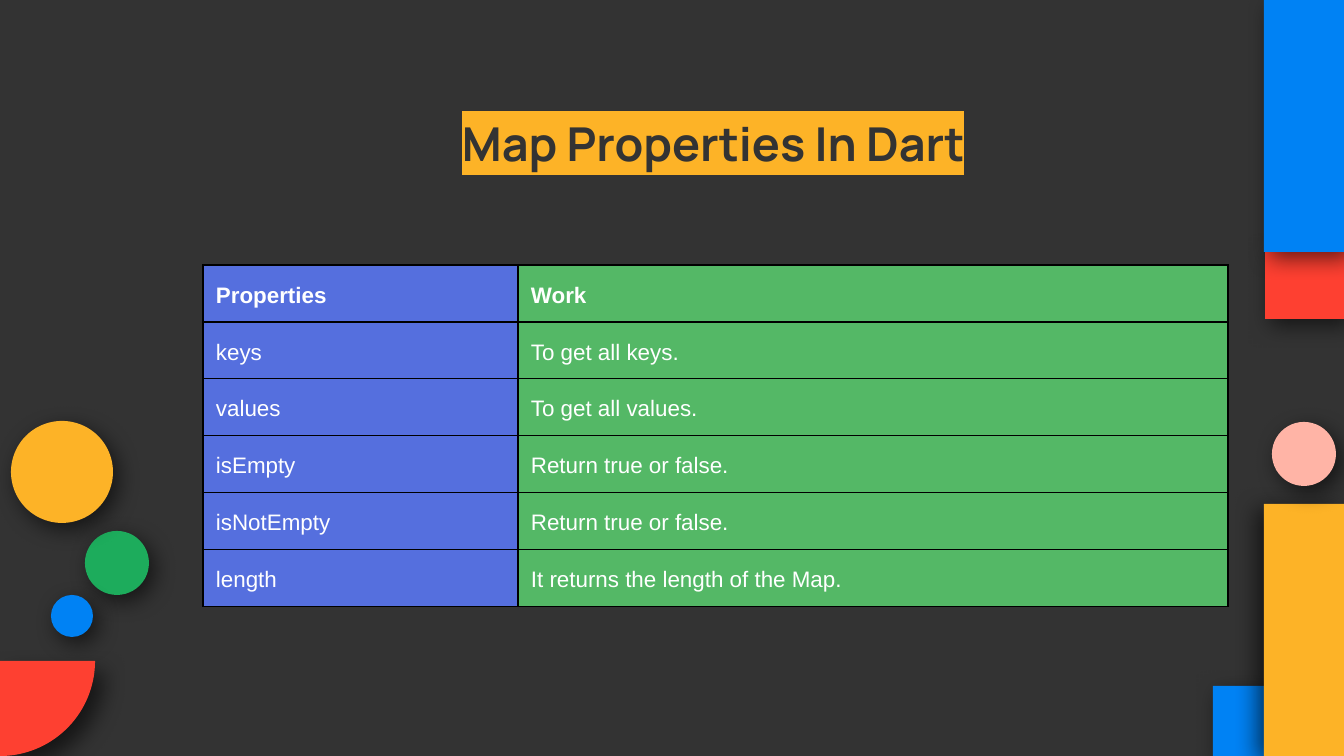
from lxml import etree
from pptx import Presentation
from pptx import util as u
from pptx.dml.color import RGBColor
from pptx.enum import shapes, text
from pptx.oxml import parse_xml
from pptx.oxml.ns import nsdecls, qn

EMU_PER_PX = 914400 / 134.4
COLORS = {
    "dark": "333333", "white": "FFFFFF", "black": "000000",
    "yellow": "FDB327", "blue": "0082F4", "red": "FE4031",
    "green": "1DAC5C", "pink": "FFB4A6",
    "name_column": "556FDE", "work_column": "54B866",
}
SHAPE = shapes.MSO_SHAPE
INSET = 13

ROWS = [
    ("Properties", "Work"),
    ("keys", "To get all keys."),
    ("values", "To get all values."),
    ("isEmpty", "Return true or false."),
    ("isNotEmpty", "Return true or false."),
    ("length", "It returns the length of the Map."),
]


def px(length):
    return u.Emu(round(length * EMU_PER_PX))


def rgb(name):
    return RGBColor.from_string(COLORS[name])


def write(para, words, font="Arial", size=12, color="white", bold=False,
          highlight=None, before=0, after=0):
    para.line_spacing = 1.15
    para.space_before, para.space_after = u.Pt(before), u.Pt(after)
    span = para.add_run()
    span.text = words
    span.font.name, span.font.size, span.font.bold = font, u.Pt(size), bold
    span.font.color.rgb = rgb(color)
    if highlight:
        mark = parse_xml(f'<a:highlight {nsdecls("a")}>'
                         f'<a:srgbClr val="{COLORS[highlight]}"/></a:highlight>')
        span.font._element.find(qn("a:solidFill")).addnext(mark)


class SlideBuilder:
    def __init__(self, page):
        self.page = page
        page.background.fill.solid()
        page.background.fill.fore_color.rgb = rgb("dark")

    def shape(self, kind, color, left, top, width, height,
              angles=(), distance=4.5, direction=50):
        """Add a borderless shape with a soft shadow; angles are in degrees."""
        item = self.page.shapes.add_shape(
            kind, px(left), px(top), px(width), px(height))
        for index, angle in enumerate(angles):
            item.adjustments[index] = angle * 0.6
        item.fill.solid()
        item.fill.fore_color.rgb = rgb(color)
        item.line.fill.background()
        item.shadow.inherit = False
        effects = item._element.spPr.find(qn("a:effectLst"))
        shadow = etree.SubElement(
            effects, qn("a:outerShdw"), blurRad=str(u.Pt(12.4)),
            dist=str(u.Pt(distance)), dir=str(direction * 60000),
            algn="bl", rotWithShape="0")
        tint = etree.SubElement(shadow, qn("a:srgbClr"), val=COLORS["black"])
        etree.SubElement(tint, qn("a:alpha"), val="59000")

    def circle(self, color, left, top, size):
        self.shape(SHAPE.OVAL, color, left, top, size, size)

    def title(self, words, left, top, width, height, **style):
        box = self.page.shapes.add_textbox(px(left), px(top), px(width), px(height))
        frame = box.text_frame
        frame.word_wrap = True
        frame.auto_size = text.MSO_AUTO_SIZE.SHAPE_TO_FIT_TEXT
        frame.margin_left = frame.margin_right = px(INSET)
        frame.margin_top = frame.margin_bottom = px(INSET)
        write(frame.paragraphs[0], words, **style)

    def table(self, rows, left, top, widths, heights, fills):
        table = self.page.shapes.add_table(
            len(rows), len(widths), px(left), px(top),
            px(sum(widths)), px(sum(heights))).table
        for column, width in zip(table.columns, widths):
            column.width = px(width)
        for row, height in zip(table.rows, heights):
            row.height = px(height)
        for r, words in enumerate(rows):
            for c, fill in enumerate(fills):
                self.cell(table.cell(r, c), words[c], fill, bold=r == 0)

    def cell(self, cell, words, fill, **style):
        cell.margin_left = cell.margin_right = px(INSET)
        cell.margin_top = cell.margin_bottom = px(INSET)
        cell.vertical_anchor = text.MSO_ANCHOR.MIDDLE
        write(cell.text_frame.paragraphs[0], words, **style)
        props = cell._tc.get_or_add_tcPr()
        for side in ("lnL", "lnR", "lnT", "lnB"):
            line = etree.SubElement(props, qn(f"a:{side}"), w=str(u.Pt(0.75)))
            paint = etree.SubElement(line, qn("a:solidFill"))
            etree.SubElement(paint, qn("a:srgbClr"), val=COLORS["black"])
        cell.fill.solid()
        cell.fill.fore_color.rgb = rgb(fill)


def main():
    deck = Presentation()
    deck.slide_width, deck.slide_height = px(1344), px(756)
    slide = SlideBuilder(deck.slides.add_slide(deck.slide_layouts[6]))

    slide.circle("green", 85, 531, 64)
    slide.circle("yellow", 11, 421, 102)
    slide.circle("blue", 51, 595, 42)
    slide.shape(SHAPE.RECTANGLE, "red", 1265, 249, 79, 70)
    slide.shape(SHAPE.RECTANGLE, "blue", 1264, 0, 80, 252)
    slide.shape(SHAPE.PIE, "red", -95, 566, 190, 190, angles=(0, 90), distance=7.5)
    slide.shape(SHAPE.RECTANGLE, "blue", 1213, 686, 79, 70)
    slide.shape(SHAPE.RECTANGLE, "yellow", 1264, 504, 80, 252, direction=149)
    slide.circle("pink", 1272, 422, 64)

    slide.title("Map Properties In Dart", 449, 93, 532, 83, font="Manrope",
                size=25, color="dark", bold=True, highlight="yellow",
                before=14, after=4)
    slide.table(ROWS, 203, 265, widths=(315, 710), heights=[57] + [54] * 5,
                fills=("name_column", "work_column"))
    deck.save("out.pptx")


if __name__ == "__main__":
    main()
